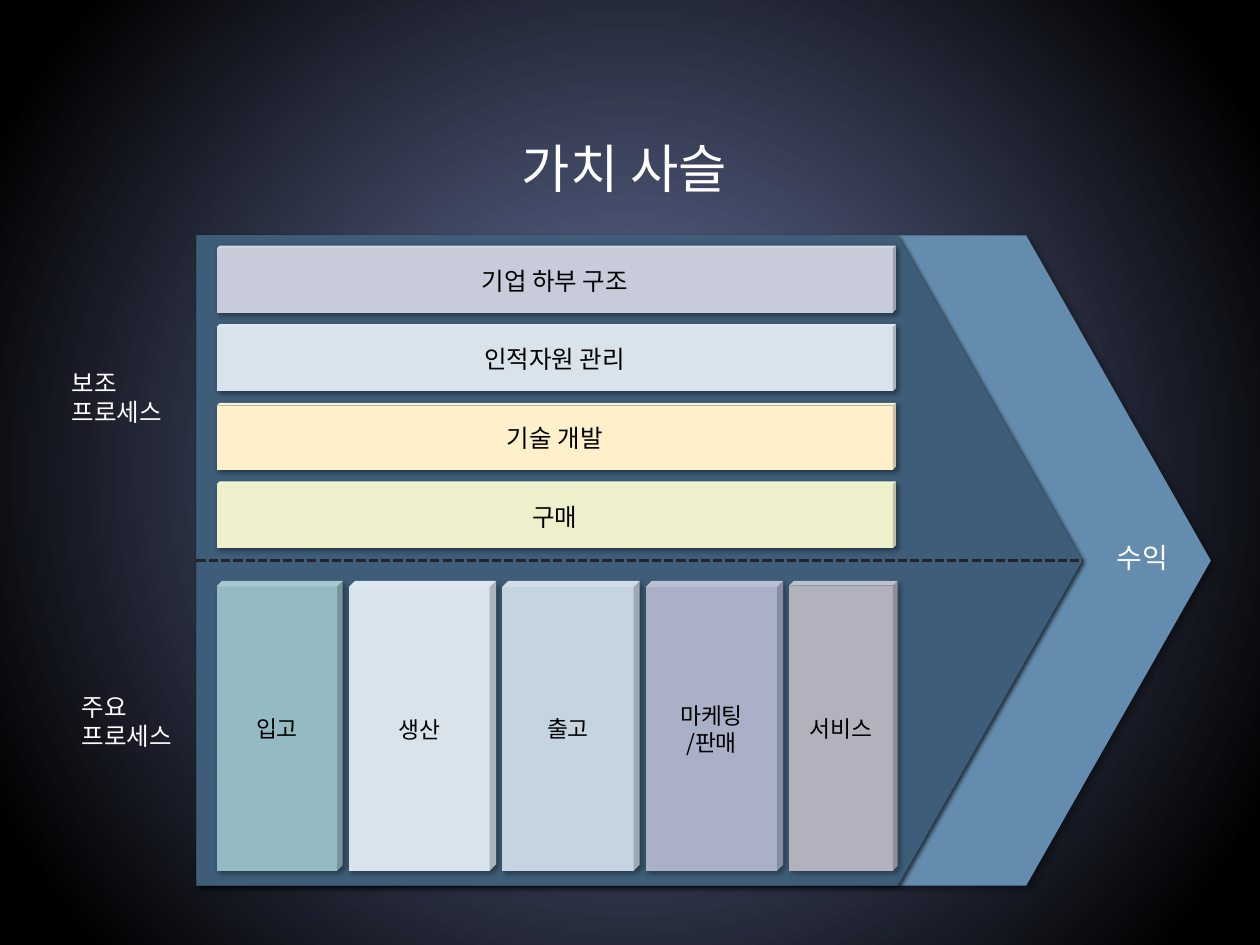
from lxml.etree import SubElement
from pptx import Presentation
from pptx.dml.color import RGBColor
from pptx.enum.dml import MSO_LINE
from pptx.enum.shapes import MSO_CONNECTOR, MSO_SHAPE
from pptx.enum.text import MSO_ANCHOR, MSO_AUTO_SIZE, PP_ALIGN
from pptx.oxml.ns import qn
from pptx.util import Pt

LATIN, KOREAN = "Lato", "Noto Sans CJK KR"
BACKGROUND = [("525B7E", 0.22), ("000000", 0.92)]
TITLE = ("가치 사슬", (168.5, 74.2, 376.6, 43.9))
ARROWS = [(579.6, "638CAE", (40, 4, 3)), (506.2, "3E5D78", (65, 2, 2))]
LABELS = [
    ("수익", (573.8, 305.3, 157.7, 26.6), 16, KOREAN, PP_ALIGN.CENTER),
    ("주요\v프로세스", (39.6, 391.7, 73.4, 41), 14, LATIN, PP_ALIGN.LEFT),
    ("보조\n프로세스", (33.8, 206.6, 106.6, 41), 14, LATIN, PP_ALIGN.LEFT),
]
SUPPORT = [
    ("기업 하부 구조", "C7CBDA"),
    ("인적자원 관리", "D9E3EB"),
    ("기술 개발", "FDF0CA"),
    ("구매", "EDF0CA"),
]
PRIMARY = [
    ("입고", 72, "94BAC3", LATIN),
    ("생산", 84.2, "D9E3EB", LATIN),
    ("출고", 78.5, "C5D4E1", LATIN),
    ("마케팅\n/판매", 78.5, "AAB0C8", KOREAN),
    ("서비스", 61.9, "B2B2BE", KOREAN),
]
ARROW_LEFT, ARROW_TOP, ARROW_HEIGHT = 112.3, 134.6, 371.5
BLOCK_LEFT = 123.8
BAR_TOP, BAR_STEP, BAR_WIDTH, BAR_HEIGHT = 140.4, 44.9, 388.1, 38.2
COLUMN_TOP, COLUMN_GAP, COLUMN_HEIGHT = 332, 3.5, 165.6


def rgb(value):
    return RGBColor.from_string(value)


def put_text(sp, text, size=14, color="000000", font=LATIN,
             align=PP_ALIGN.CENTER, anchor=MSO_ANCHOR.MIDDLE, grow=False):
    tf = sp.text_frame
    tf.word_wrap = True
    tf.auto_size = MSO_AUTO_SIZE.SHAPE_TO_FIT_TEXT if grow else MSO_AUTO_SIZE.NONE
    tf.vertical_anchor = anchor
    tf.text = text
    for p in tf.paragraphs:
        p.alignment = align
        for r in p.runs:
            r.font.size = Pt(size)
            r.font.name = font
            r.font.color.rgb = rgb(color)
            SubElement(r.font._element, qn("a:ea"), typeface=KOREAN)


def add_shadow(sp, alpha, blur, distance):
    sp.shadow.inherit = False
    effects = sp._element.spPr.find(qn("a:effectLst"))
    shadow = SubElement(effects, qn("a:outerShdw"), blurRad=str(Pt(blur)),
                        dist=str(Pt(distance)), dir="2700000", algn="tl",
                        rotWithShape="0")
    color = SubElement(shadow, qn("a:srgbClr"), val="000000")
    SubElement(color, qn("a:alpha"), val=str(alpha * 1000))


def add_block(s, kind, box, fill, adjustment, shadow):
    sp = s.shapes.add_shape(kind, *map(Pt, box))
    sp.adjustments[0] = adjustment
    sp.fill.solid()
    sp.fill.fore_color.rgb = rgb(fill)
    sp.line.fill.background()
    add_shadow(sp, *shadow)
    return sp


def paint_background(s):
    fill = s.background.fill
    fill.gradient()
    for stop, (color, position) in zip(fill.gradient_stops, BACKGROUND):
        stop.color.rgb = rgb(color)
        stop.position = position
    grad = next(s._element.iter(qn("a:gradFill")))
    grad.remove(grad.find(qn("a:lin")))
    radial = SubElement(grad, qn("a:path"), path="circle")
    SubElement(radial, qn("a:fillToRect"), l="50000", t="50000", r="50000", b="50000")


def add_divider(s):
    y = Pt(ARROW_TOP + ARROW_HEIGHT / 2)
    line = s.shapes.add_connector(MSO_CONNECTOR.STRAIGHT, Pt(ARROW_LEFT), y,
                                  Pt(ARROW_LEFT + ARROWS[1][0]), y)
    line.line.color.rgb = rgb("23232A")
    line.line.width = Pt(1.75)
    line.line.dash_style = MSO_LINE.SQUARE_DOT
    SubElement(line._element.spPr, qn("a:effectLst"))


def main():
    """Build the value chain slide."""
    prs = Presentation()
    prs.slide_width, prs.slide_height = Pt(720), Pt(540)
    s = prs.slides.add_slide(prs.slide_layouts[5])
    paint_background(s)

    text, box = TITLE
    title = s.shapes.title
    title.left, title.top, title.width, title.height = map(Pt, box)
    put_text(title, text, size=30, color="FFFFFF", anchor=MSO_ANCHOR.TOP, grow=True)

    for width, fill, shadow in ARROWS:
        box = (ARROW_LEFT, ARROW_TOP, width, ARROW_HEIGHT)
        add_block(s, MSO_SHAPE.PENTAGON, box, fill, 0.284, shadow)
    add_divider(s)

    left = BLOCK_LEFT
    for text, width, fill, font in PRIMARY:
        box = (left, COLUMN_TOP, width, COLUMN_HEIGHT)
        sp = add_block(s, MSO_SHAPE.CUBE, box, fill, 0.043, (35, 3, 2))
        put_text(sp, text, size=13, font=font)
        left += width + COLUMN_GAP

    for text, box, size, font, align in LABELS:
        sp = s.shapes.add_textbox(*map(Pt, box))
        put_text(sp, text, size=size, color="FFFFFF", font=font, align=align,
                 anchor=MSO_ANCHOR.TOP, grow=True)

    for i, (text, fill) in enumerate(SUPPORT):
        box = (BLOCK_LEFT, BAR_TOP + i * BAR_STEP, BAR_WIDTH, BAR_HEIGHT)
        sp = add_block(s, MSO_SHAPE.CUBE, box, fill, 0.043, (40, 3, 2))
        put_text(sp, text)

    prs.save("out.pptx")


if __name__ == "__main__":
    main()
